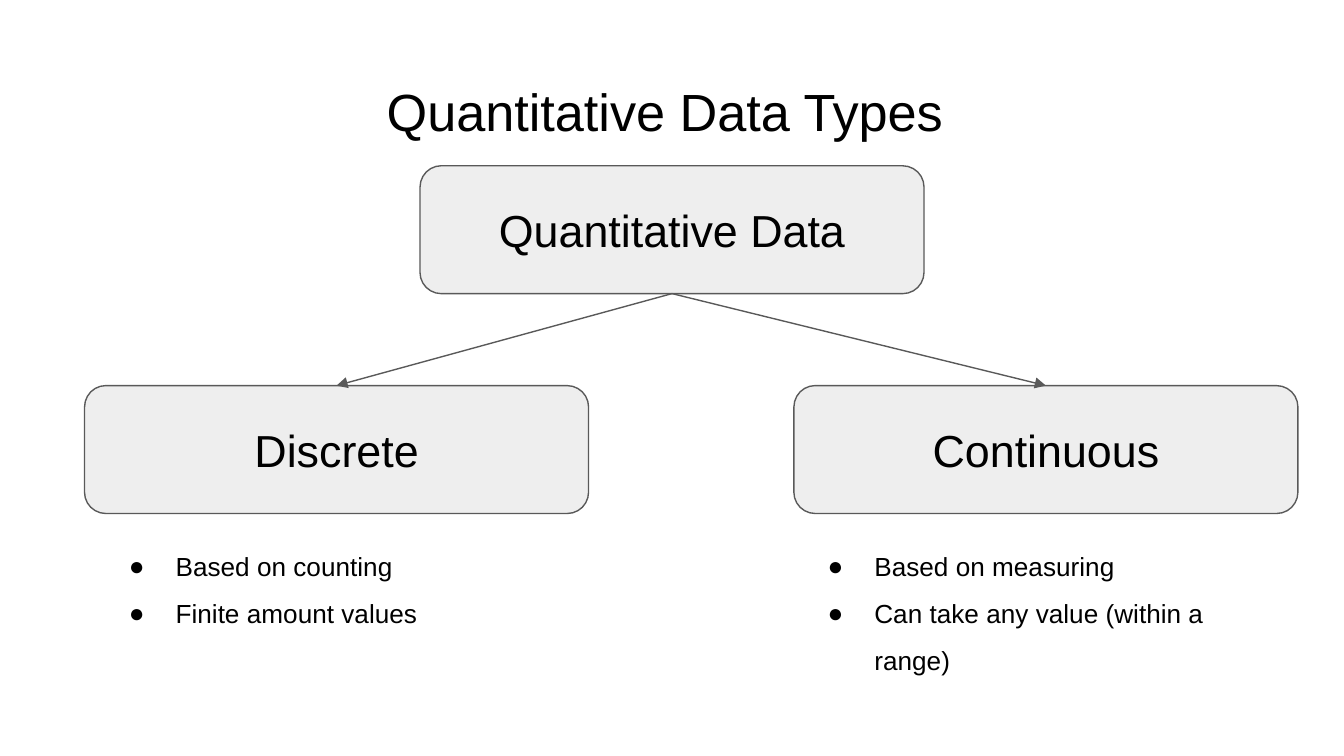
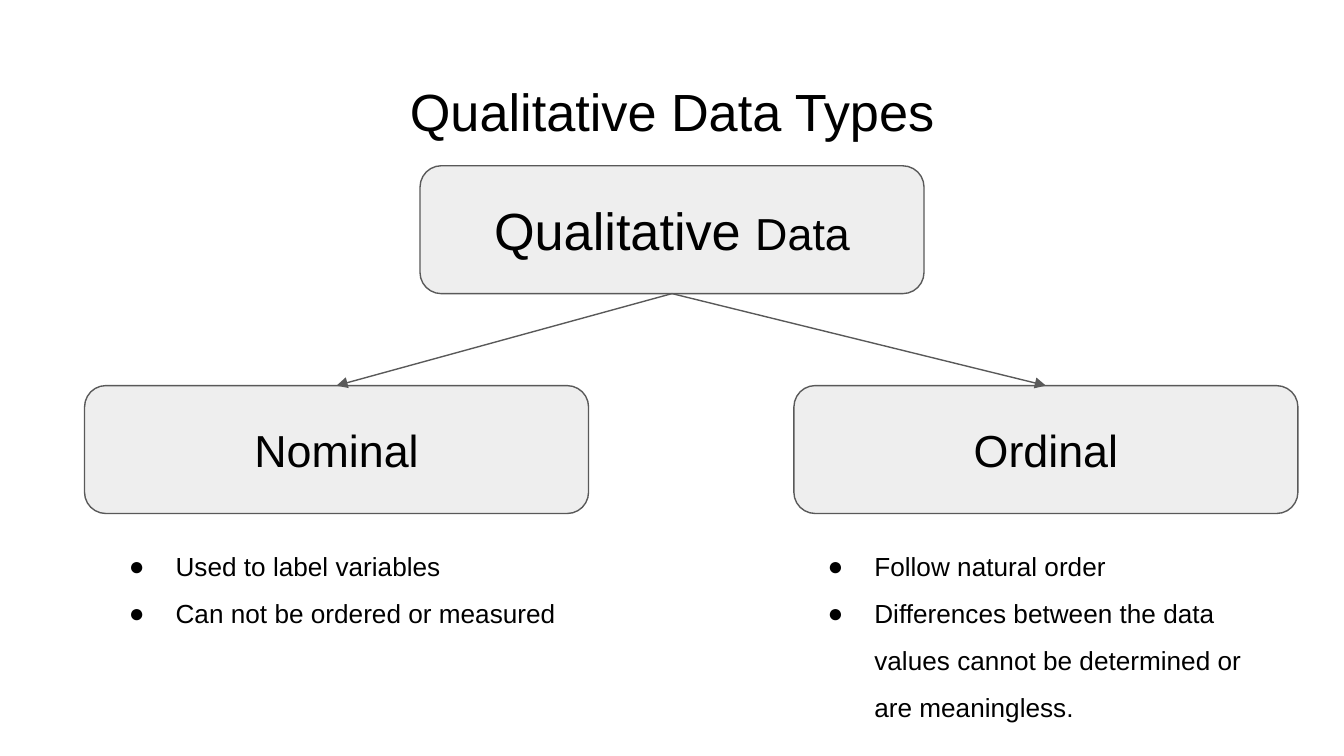
from lxml.etree import SubElement
from pptx import Presentation
from pptx.dml.color import RGBColor
from pptx.enum.shapes import MSO_CONNECTOR, MSO_SHAPE
from pptx.enum.text import MSO_ANCHOR, PP_ALIGN
from pptx.oxml.ns import qn
from pptx.util import Pt

# Each root label is a list of (text, size); each branch is a name with its bullets.
SLIDES = [
    {
        "title": "Quantitative Data Types ",
        "root": [("Quantitative Data", 24)],
        "branches": [
            ("Discrete", ["Based on counting", "Finite amount values"]),
            ("Continuous", ["Based on measuring", "Can take any value (within a range)"]),
        ],
    },
    {
        "title": "Qualitative Data Types",
        "root": [("Qualitative ", 28), ("Data", 24)],
        "branches": [
            ("Nominal", ["Used to label variables", "Can not be ordered or measured"]),
            ("Ordinal", ["Follow natural order",
                         "Differences between the data values cannot be determined "
                         "or are meaningless."]),
        ],
    },
]

FONT = "Arial"
BLACK = RGBColor(0x00, 0x00, 0x00)
BOX_FILL = RGBColor(0xEE, 0xEE, 0xEE)
OUTLINE = RGBColor(0x59, 0x59, 0x59)

TITLE_AREA = (24.5, 35.5, 671, 45.5)
BOX_WIDTH, BOX_HEIGHT = 270, 68.5
ROOT_LEFT, ROOT_TOP = 225, 88.8
BRANCH_TOP = 206.6
BRANCH_LEFTS = (45.3, 425.3)
LIST_LEFTS = (51, 425.3)
LIST_TOP, LIST_WIDTH, LIST_HEIGHT = 279.4, 258.5, 120
INSET = 7.2
BOX_BOTTOM_SITE, BOX_TOP_SITE = 2, 0


def set_insets(text_frame):
    text_frame.word_wrap = True
    text_frame.margin_left = text_frame.margin_right = Pt(INSET)
    text_frame.margin_top = text_frame.margin_bottom = Pt(INSET)


def style_font(font, size):
    font.name = FONT
    font.size = Pt(size)
    font.color.rgb = BLACK


def add_text_frame(slide, area):
    text_frame = slide.shapes.add_textbox(*map(Pt, area)).text_frame
    set_insets(text_frame)
    return text_frame


def add_title(slide, title):
    paragraph = add_text_frame(slide, TITLE_AREA).paragraphs[0]
    paragraph.text = title
    paragraph.alignment = PP_ALIGN.CENTER
    style_font(paragraph.font, 28)


def add_box(slide, left, top, label):
    shape = slide.shapes.add_shape(
        MSO_SHAPE.ROUNDED_RECTANGLE, Pt(left), Pt(top), Pt(BOX_WIDTH), Pt(BOX_HEIGHT))
    shape.shadow.inherit = False
    shape.fill.solid()
    shape.fill.fore_color.rgb = BOX_FILL
    shape.line.color.rgb = OUTLINE
    shape.line.width = Pt(0.75)
    set_insets(shape.text_frame)
    shape.text_frame.vertical_anchor = MSO_ANCHOR.MIDDLE
    paragraph = shape.text_frame.paragraphs[0]
    paragraph.alignment = PP_ALIGN.CENTER
    for text, size in label:
        run = paragraph.add_run()
        run.text = text
        style_font(run.font, size)
    return shape


def add_arrow(slide, parent, child):
    arrow = slide.shapes.add_connector(MSO_CONNECTOR.STRAIGHT, 0, 0, 0, 0)
    arrow.begin_connect(parent, BOX_BOTTOM_SITE)
    arrow.end_connect(child, BOX_TOP_SITE)
    arrow.line.color.rgb = OUTLINE
    arrow.line.width = Pt(0.75)
    SubElement(arrow.line._get_or_add_ln(), qn("a:tailEnd"), type="triangle")
    SubElement(arrow._element.spPr, qn("a:effectLst"))


def add_bullets(slide, left, items):
    text_frame = add_text_frame(slide, (left, LIST_TOP, LIST_WIDTH, LIST_HEIGHT))
    for index, item in enumerate(items):
        paragraph = text_frame.add_paragraph() if index else text_frame.paragraphs[0]
        paragraph.text = item
        paragraph.line_spacing = 1.5
        properties = paragraph._p.get_or_add_pPr()
        properties.set("marL", str(Pt(36)))
        properties.set("indent", str(Pt(-25)))
        color = SubElement(properties, qn("a:buClr"))
        SubElement(color, qn("a:srgbClr"), val=str(BLACK))
        SubElement(properties, qn("a:buFont"), typeface=FONT)
        SubElement(properties, qn("a:buChar"), char="●")
        style_font(paragraph.font, 14)


def add_tree_slide(presentation, content):
    slide = presentation.slides.add_slide(presentation.slide_layouts[6])
    add_title(slide, content["title"])
    root = add_box(slide, ROOT_LEFT, ROOT_TOP, content["root"])
    branches = content["branches"]
    boxes = [add_box(slide, left, BRANCH_TOP, [(name, 24)])
             for left, (name, _) in zip(BRANCH_LEFTS, branches)]
    for box in boxes:
        add_arrow(slide, root, box)
    for left, (_, items) in zip(LIST_LEFTS, branches):
        add_bullets(slide, left, items)


def main():
    presentation = Presentation()
    presentation.slide_width, presentation.slide_height = Pt(720), Pt(405)
    for content in SLIDES:
        add_tree_slide(presentation, content)
    presentation.save("out.pptx")


if __name__ == "__main__":
    main()
